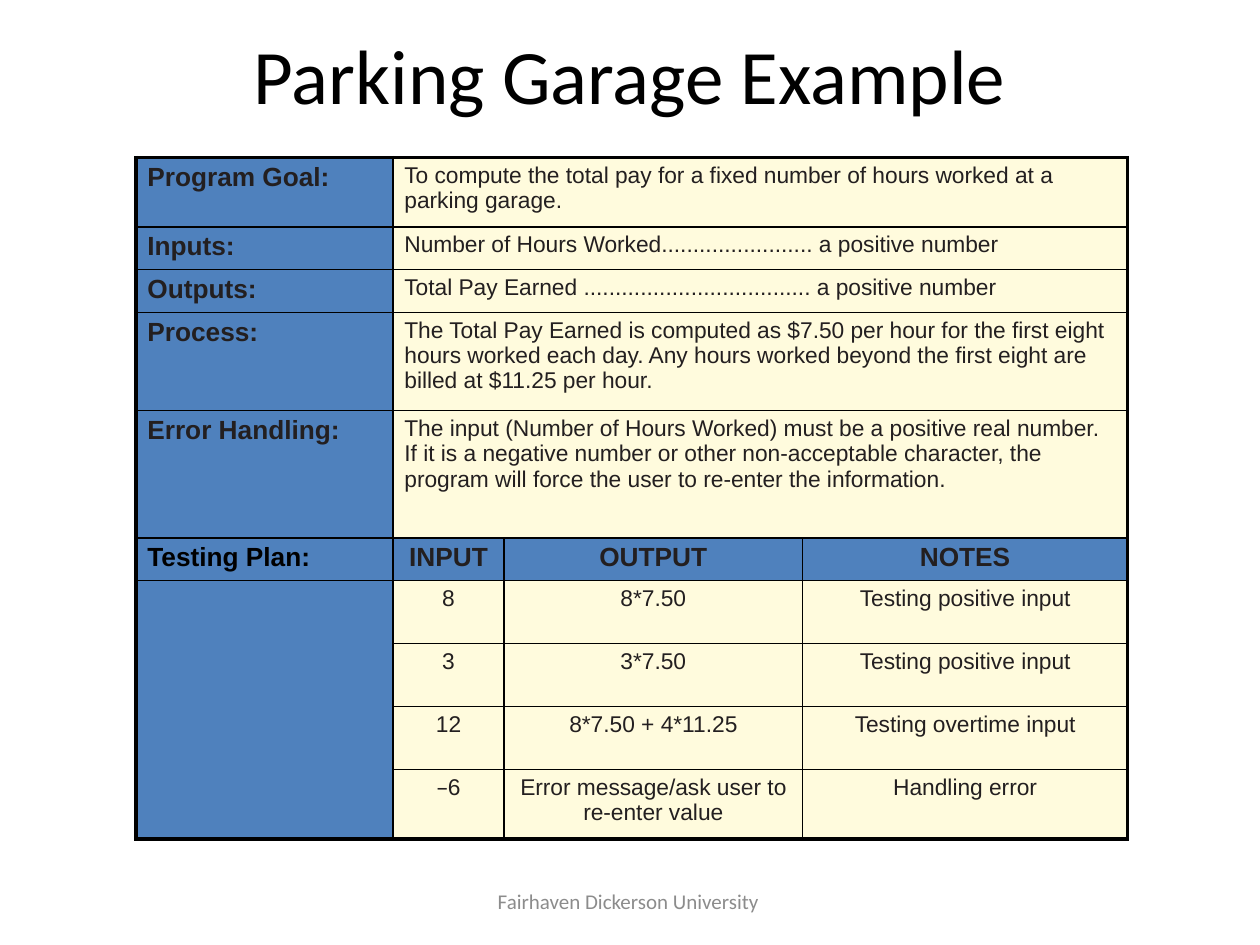
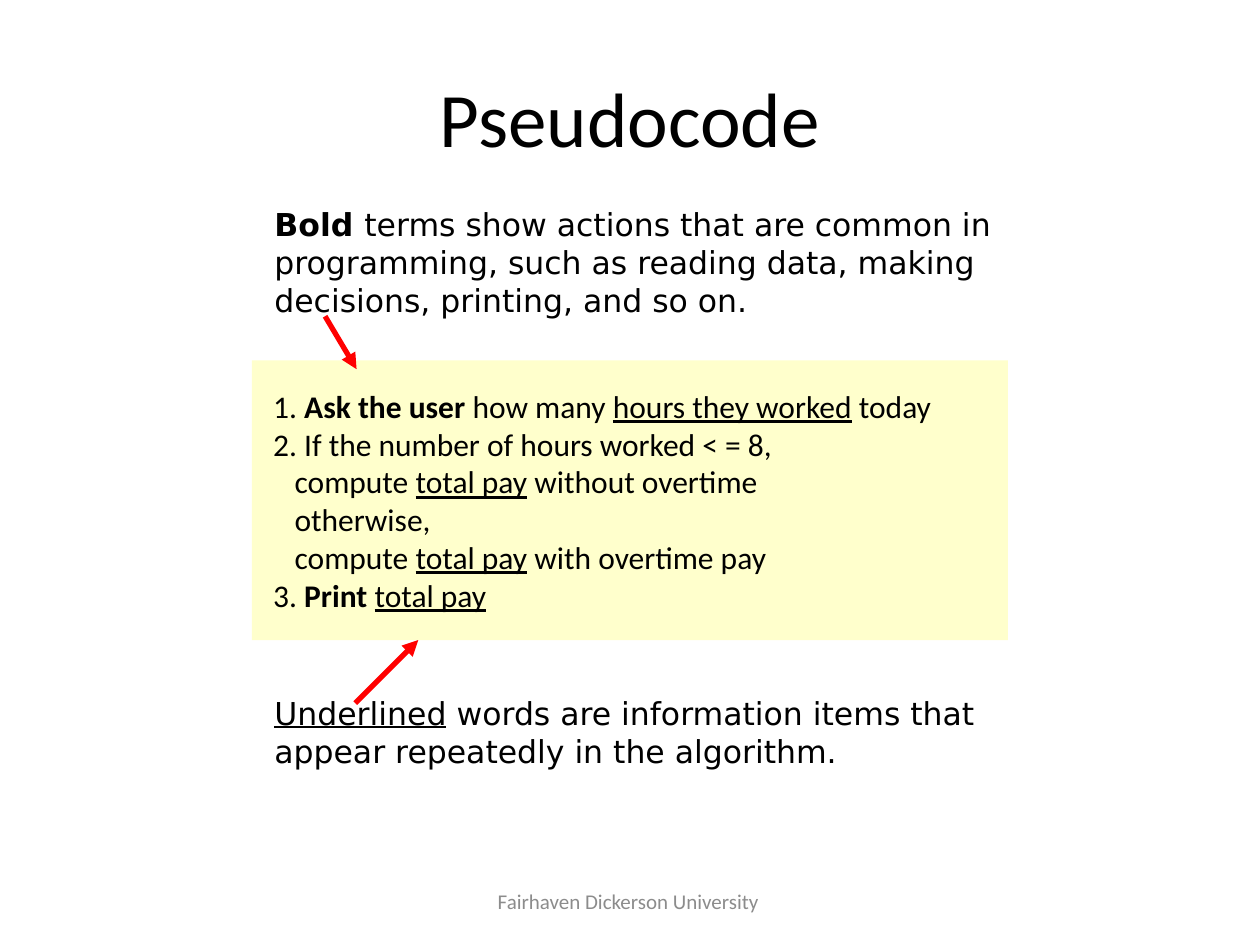
from dataclasses import dataclass

from lxml import etree
from pptx import Presentation
from pptx import util as u
from pptx.dml.color import RGBColor
from pptx.enum import shapes, text
from pptx.oxml.ns import qn

BLACK = RGBColor(0x00, 0x00, 0x00)
WHITE = RGBColor(0xFF, 0xFF, 0xFF)
INK = RGBColor(0x23, 0x1F, 0x20)
GREY = RGBColor(0x8C, 0x8C, 0x8C)
BLUE = RGBColor(0x4F, 0x81, 0xBD)
CREAM = RGBColor(0xFF, 0xFB, 0xDD)
YELLOW = RGBColor(0xFF, 0xFF, 0xCC)
RED = RGBColor(0xFF, 0x00, 0x00)

UNIT = u.Inches(0.1)
COLUMNS, ROWS = 100, 75
THIN, THICK = 1, 2.25
LEFT, CENTER = text.PP_ALIGN.LEFT, text.PP_ALIGN.CENTER
TOP, MIDDLE = text.MSO_ANCHOR.TOP, text.MSO_ANCHOR.MIDDLE
FOOTER = "Fairhaven Dickerson University "

TABLE_COLUMNS = [20.4, 8.8, 23.7, 25.8]
TABLE_ROWS = [5.5, 3.4, 3.4, 7.8, 10.1, 3.4, 5, 5, 5, 5.5]
PLAN = [
    ("Program Goal:", "To compute the total pay for a fixed number of hours worked at a parking garage."),
    ("Inputs:", "Number of Hours Worked........................ a positive number"),
    ("Outputs:", "Total Pay Earned .................................... a positive number"),
    ("Process:", "The Total Pay Earned is computed as $7.50 per hour for the first eight hours "
     "worked each day. Any hours worked beyond the first eight are billed at $11.25 per hour."),
    ("Error Handling:", "The input (Number of Hours Worked) must be a positive real number. If it is "
     "a negative number or other non-acceptable character, the program will force the user to "
     "re-enter the information."),
    ("Testing Plan:", "INPUT", "OUTPUT", "NOTES"),
    ("", "8", "8*7.50", "Testing positive input"),
    ("", "3", "3*7.50", "Testing positive input"),
    ("", "12", "8*7.50 + 4*11.25", "Testing overtime input"),
    ("", "–6", "Error message/ask user to re-enter value", "Handling error"),
]
HEADER_ROW = 5

BOLD_NOTE = [("Bold ", "b"), ("terms show actions that are common in programming, such as "
             "reading data, making decisions, printing, and so on.", "")]
UNDERLINE_NOTE = [("Underlined", "u"),
                  (" words are information items that appear repeatedly in the algorithm.", "")]
STEP, BRANCH = 0.07, 0.24
PSEUDOCODE = [
    (STEP, [("1. ", ""), ("Ask the user ", "b"), ("how many ", ""),
            ("hours they worked", "u"), (" today", "")]),
    (STEP, [("2. If the number of hours worked < = 8,", "")]),
    (BRANCH, [("compute ", ""), ("total pay", "u"), (" without overtime", "")]),
    (BRANCH, [("otherwise,", "")]),
    (BRANCH, [("compute ", ""), ("total pay", "u"), (" with overtime pay", "")]),
    (STEP, [("3. ", ""), ("Print ", "b"), ("total pay", "u")]),
]


@dataclass
class Box:
    left: float
    top: float
    width: float
    height: float

    def inner(self, left, top, width, height):
        return Box(self.left + left, self.top + top, width, height)

    def place(self):
        return [round(side * UNIT) for side in (self.left, self.top, self.width, self.height)]


def write(para, spans, font="Calibri", size=18, color=BLACK, align=LEFT, indent=0):
    para.alignment = align
    if indent:
        para._p.get_or_add_pPr().set("marL", str(u.Inches(indent)))
    for words, style in [(spans, "")] if isinstance(spans, str) else spans:
        span = para.add_run()
        span.text = words
        span.font.name = "DejaVu Sans" if words == "–" else font
        span.font.size = u.Pt(size)
        span.font.color.rgb = color
        span.font.bold = "b" in style
        span.font.underline = "u" in style


def add_text(page, box, lines, fill=None, anchor=TOP, **style):
    if fill is None:
        shape = page.shapes.add_textbox(*box.place())
    else:
        shape = page.shapes.add_shape(shapes.MSO_SHAPE.RECTANGLE, *box.place())
        shape.shadow.inherit = False
        shape.fill.solid()
        shape.fill.fore_color.rgb = fill
        shape.line.fill.background()
    frame = shape.text_frame
    frame.word_wrap = True
    frame.vertical_anchor = anchor
    for index, (indent, spans) in enumerate(lines):
        para = frame.add_paragraph() if index else frame.paragraphs[0]
        write(para, spans, indent=indent, **style)


def add_frame(page, title, title_box, footer_box):
    add_text(page, title_box, [(0, title)], anchor=MIDDLE, size=44, align=CENTER)
    add_text(page, footer_box, [(0, FOOTER)], anchor=MIDDLE, size=12, color=GREY, align=CENTER)


def add_arrow(page, box, start, end):
    points = [round(side * UNIT) for side in (
        box.left + start[0], box.top + start[1], box.left + end[0], box.top + end[1])]
    arrow = page.shapes.add_connector(shapes.MSO_CONNECTOR.STRAIGHT, *points)
    arrow.line.color.rgb = RED
    arrow.line.width = u.Pt(3)
    etree.SubElement(arrow.line._get_or_add_ln(), qn("a:tailEnd"), type="triangle")
    etree.SubElement(arrow._element.spPr, qn("a:effectLst"))


def set_borders(cell, **widths):
    for side, width in widths.items():
        line = etree.SubElement(cell._tc.get_or_add_tcPr(), qn(f"a:ln{side}"), w=str(u.Pt(width)))
        if width:
            fill = etree.SubElement(line, qn("a:solidFill"))
            etree.SubElement(fill, qn("a:srgbClr"), val=str(BLACK))
        else:
            etree.SubElement(line, qn("a:noFill"))


def format_cell(cell, row, column, merged):
    last_row, last_column = len(PLAN) - 1, len(TABLE_COLUMNS) - 1
    blank = column == 0 and row > HEADER_ROW
    set_borders(
        cell,
        L=THIN if column else THICK,
        R=THICK if column == last_column or merged else THIN,
        T=THICK if row == 0 else 0 if blank and row > HEADER_ROW + 1 else THIN,
        B=THICK if row == last_row else 0 if blank else THIN,
    )
    cell.fill.solid()
    cell.fill.fore_color.rgb = BLUE if column == 0 or row == HEADER_ROW else CREAM
    cell.margin_left = cell.margin_right = u.Inches(0.09)
    cell.margin_top = cell.margin_bottom = u.Inches(0.04)


def add_plan_table(page, box):
    table = page.shapes.add_table(len(TABLE_ROWS), len(TABLE_COLUMNS), *box.place()).table
    table.first_row = table.horz_banding = False
    for column, width in zip(table.columns, TABLE_COLUMNS):
        column.width = round(width * UNIT)
    for row, height in zip(table.rows, TABLE_ROWS):
        row.height = round(height * UNIT)
    for row, entries in enumerate(PLAN):
        wide = row < HEADER_ROW
        if wide:
            table.cell(row, 1).merge(table.cell(row, 3))
        for column in range(len(TABLE_COLUMNS)):
            cell = table.cell(row, column)
            format_cell(cell, row, column, wide and column > 0)
            words = entries[column] if column < len(entries) else ""
            if not words:
                continue
            heading = column == 0 or row == HEADER_ROW
            style = "b" if heading else ""
            spans = [("–", style), (words[1:], style)] if words[0] == "–" else [(words, style)]
            write(
                cell.text_frame.paragraphs[0], spans, font="Arial",
                size=15 if heading else 13,
                color=BLACK if row == HEADER_ROW and column == 0 else INK,
                align=LEFT if column == 0 or wide else CENTER,
            )


def build_plan_page(page, box):
    add_plan_table(page, box.inner(10.8, 12.5, sum(TABLE_COLUMNS), sum(TABLE_ROWS)))
    add_frame(page, "Parking Garage Example", box.inner(5, 1.7, 90, 8.3),
              box.inner(34.2, 69.5, 31.7, 4))


def add_pseudocode(page, box):
    for top, height, note in ((0, 14, BOLD_NOTE), (38.8, 7.1, UNDERLINE_NOTE)):
        add_text(page, box.inner(0.8, top, 60, height), [(0, note)], fill=WHITE, font="DejaVu Sans")
    add_text(page, box.inner(0, 12.8, 60, 22.2), PSEUDOCODE, fill=YELLOW, anchor=MIDDLE)
    add_arrow(page, box, (5.8, 9.3), (8.3, 13.5))
    add_arrow(page, box, (8.2, 40), (13.2, 35))


def build_pseudocode_page(page, box):
    add_frame(page, "Pseudocode", box.inner(5, 3, 90, 12.5), box.inner(34.2, 69.5, 31.7, 4))
    add_pseudocode(page, box.inner(20, 15.8, 60.8, 45.9))


def main():
    deck = Presentation()
    deck.slide_width, deck.slide_height = COLUMNS * UNIT, ROWS * UNIT
    for build in (build_plan_page, build_pseudocode_page):
        build(deck.slides.add_slide(deck.slide_layouts[6]), Box(0, 0, COLUMNS, ROWS))
    deck.save("out.pptx")


if __name__ == "__main__":
    main()
